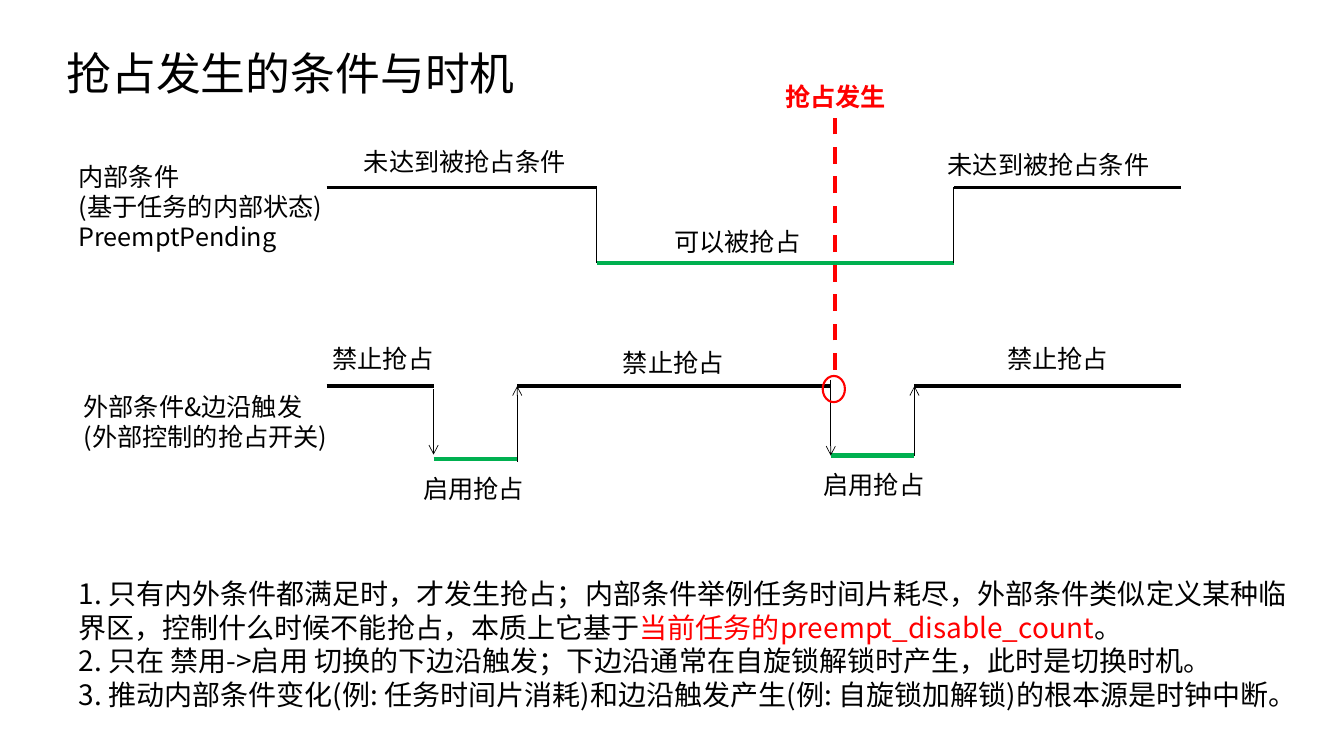
from pptx import Presentation
from pptx.dml.color import RGBColor
from pptx.enum import dml, shapes, text
from pptx.oxml import ns, xmlchemy
from pptx.util import Inches, Pt

FONT = "Noto Sans CJK SC"
COLORS = {"black": "000000", "green": "00B050", "red": "FF0000"}
STYLES = {
    "level": ("black", 2.25),
    "open": ("green", 3),
    "edge": ("black", 0.5),
    "moment": ("red", 3),
}

TITLE = "抢占发生的条件与时机"
PENDING, DISABLED, ENABLED = "未达到被抢占条件", "禁止抢占", "启用抢占"
LABELS = [
    (0.68, 1.55, 2.68, 1.01, ["内部条件", "(基于任务的内部状态)", "PreemptPending"]),
    (0.73, 3.83, 2.63, 0.71, ["外部条件&边沿触发", "(外部控制的抢占开关)"]),
    (3.51, 1.4, 2.28, 0.4, [PENDING]),
    (9.3, 1.43, 2.28, 0.4, [PENDING]),
    (6.59, 2.2, 1.54, 0.4, ["可以被抢占"]),
    (3.2, 3.36, 1.23, 0.4, [DISABLED]),
    (6.08, 3.4, 1.23, 0.4, [DISABLED]),
    (9.89, 3.36, 1.23, 0.4, [DISABLED]),
    (4.1, 4.65, 1.23, 0.4, [ENABLED]),
    (8.07, 4.61, 1.23, 0.4, [ENABLED]),
]
MOMENT = (7.69, 0.76, 1.34, 0.4, ["抢占发生"])
NOTES = (0.68, 5.67, 12.28, 1.45, [
    [("1. 只有内外条件都满足时，才发生抢占；内部条件举例任务时间片耗尽，"
      "外部条件类似定义某种临界区，控制什么时候不能抢占，本质上它基于", "black"),
     ("当前任务的preempt_disable_count", "red"), ("。", "black")],
    "2. 只在 禁用->启用 切换的下边沿触发；下边沿通常在自旋锁解锁时产生，此时是切换时机。",
    "3. 推动内部条件变化(例: 任务时间片消耗)和边沿触发产生(例: 自旋锁加解锁)的根本源是时钟中断。",
])

START, END = 3.24, 11.71
INNER_HIGH, INNER_LOW, INNER_FALL, INNER_RISE = 1.86, 2.61, 5.92, 9.46
OUTER_HIGH = 3.83
DIPS = [
    {"fall": 4.3, "rise": 5.13, "low": 4.55, "fall_y": (3.86, 4.51), "rise_from": 4.58},
    {"fall": 8.24, "rise": 9.07, "low": 4.52, "fall_y": (3.77, 4.52), "rise_from": 4.52},
]
MOMENT_X = 8.28

prs = Presentation()
prs.slide_width, prs.slide_height = Inches(13.33), Inches(7.5)
s = prs.slides.add_slide(prs.slide_layouts[5])


def fill_text(sp, paragraphs, size, color="black", bold=False):
    tf = sp.text_frame
    frame_format = {"word_wrap": True, "vertical_anchor": text.MSO_ANCHOR.TOP,
                    "auto_size": text.MSO_AUTO_SIZE.SHAPE_TO_FIT_TEXT}
    for name, value in frame_format.items():
        setattr(tf, name, value)
    for i, runs in enumerate(paragraphs):
        p = tf.add_paragraph() if i else tf.paragraphs[0]
        p.alignment = text.PP_ALIGN.LEFT
        p.line_spacing = Pt(size * 1.2)
        for words, run_color in [(runs, color)] if isinstance(runs, str) else runs:
            r = p.add_run()
            r.text = words
            for name, value in {"name": FONT, "size": Pt(size), "bold": bold}.items():
                setattr(r.font, name, value)
            r.font.color.rgb = RGBColor.from_string(COLORS[run_color])
            ea = xmlchemy.OxmlElement("a:ea")
            ea.set("typeface", FONT)
            r.font._element.append(ea)


def add_label(box, size=18, color="black", bold=False):
    sp = s.shapes.add_textbox(*map(Inches, box[:4]))
    fill_text(sp, box[4], size, color, bold)


def add_line(x1, y1, x2, y2, style, arrow=False, dash=None):
    sp = s.shapes.add_connector(shapes.MSO_CONNECTOR.STRAIGHT,
                                *map(Inches, (x1, y1, x2, y2)))
    color, width = STYLES[style]
    sp.line.color.rgb = RGBColor.from_string(COLORS[color])
    sp.line.width = Pt(width)
    if dash:
        sp.line.dash_style = dash
    if arrow:
        end = xmlchemy.OxmlElement("a:tailEnd")
        end.set("type", "arrow")
        sp._element.spPr.find(ns.qn("a:ln")).append(end)
    sp._element.spPr.append(xmlchemy.OxmlElement("a:effectLst"))


title = s.shapes.title
title.left, title.top, title.width, title.height = map(Inches, (0.56, 0.4, 7.56, 0.64))
fill_text(title, [TITLE], 32)

add_line(START, INNER_HIGH, INNER_FALL, INNER_HIGH, "level")
add_line(INNER_RISE, INNER_HIGH, END, INNER_HIGH, "level")
add_line(INNER_FALL, INNER_LOW, INNER_RISE, INNER_LOW, "open")
for x in (INNER_FALL, INNER_RISE):
    add_line(x, INNER_HIGH, x, INNER_LOW, "edge")

high_starts = [START] + [d["rise"] for d in DIPS]
high_ends = [d["fall"] for d in DIPS] + [END]
for x1, x2 in zip(high_starts, high_ends):
    add_line(x1, OUTER_HIGH, x2, OUTER_HIGH, "level")
for d in DIPS:
    top, bottom = d["fall_y"]
    add_line(d["fall"], d["low"], d["rise"], d["low"], "open")
    add_line(d["fall"], top, d["fall"], bottom, "edge", arrow=True)
    add_line(d["rise"], d["rise_from"], d["rise"], OUTER_HIGH, "edge", arrow=True)

for box in LABELS:
    add_label(box)

add_line(MOMENT_X, 3.67, MOMENT_X, 1.15, "moment", dash=dml.MSO_LINE.DASH)
add_label(MOMENT, color="red", bold=True)
ring = s.shapes.add_shape(shapes.MSO_SHAPE.OVAL, *map(Inches, (8.16, 3.73, 0.22, 0.26)))
ring.shadow.inherit = False
ring.fill.background()
ring.line.color.rgb = RGBColor.from_string(COLORS["red"])
ring.line.width = Pt(1.5)

add_label(NOTES, size=20)
prs.save("out.pptx")
